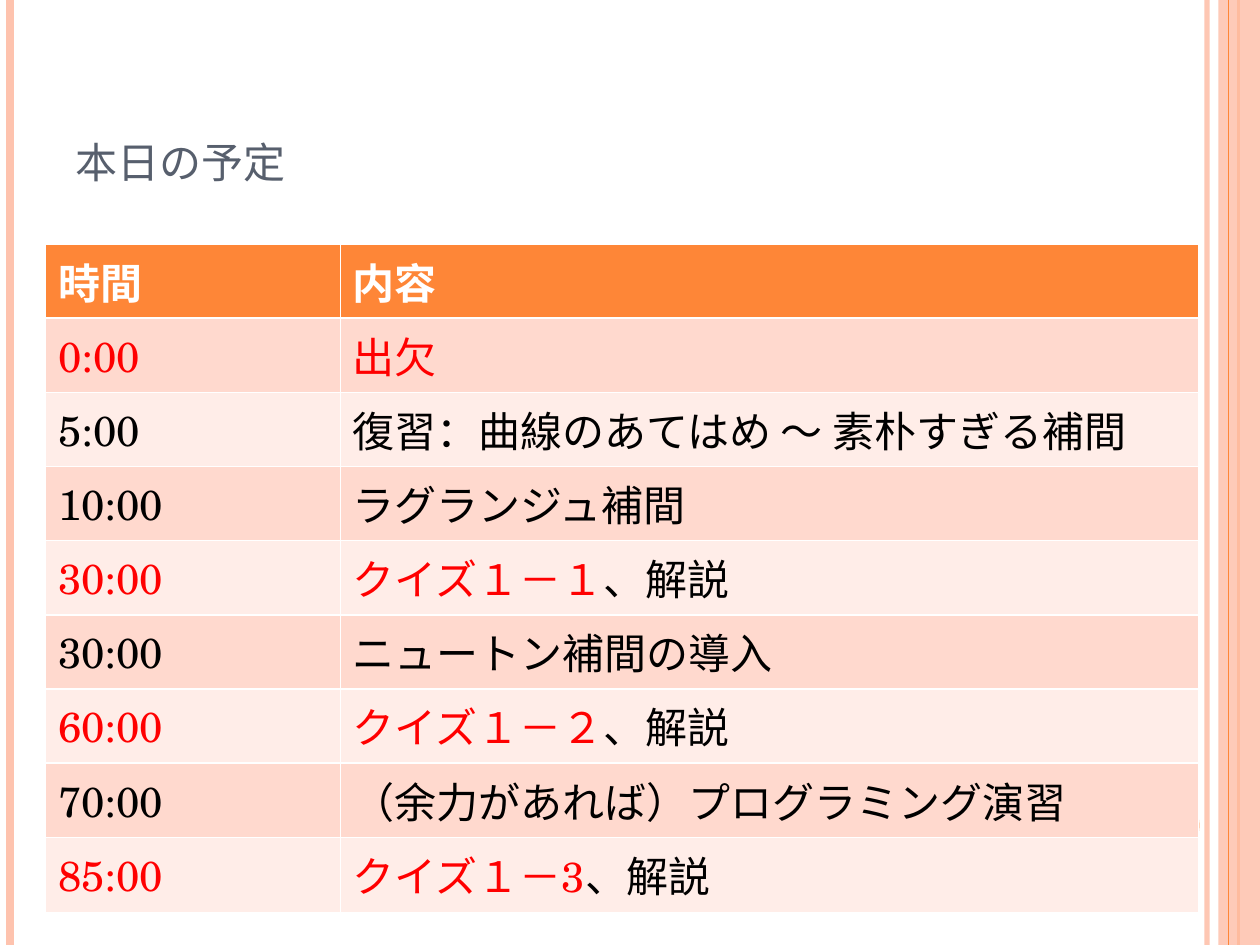
"""Build the lesson timetable slide with its striped side borders."""
from dataclasses import dataclass

from lxml import etree
from pptx import Presentation
from pptx.dml.color import RGBColor
from pptx.enum.shapes import MSO_CONNECTOR, MSO_SHAPE
from pptx.enum.text import MSO_ANCHOR, PP_ALIGN
from pptx.oxml.ns import qn
from pptx.util import Cm, Pt

STRAIGHT = MSO_CONNECTOR.STRAIGHT
RECTANGLE, OVAL = MSO_SHAPE.RECTANGLE, MSO_SHAPE.OVAL
BOTTOM, LEFT = MSO_ANCHOR.BOTTOM, PP_ALIGN.LEFT
TITLE_ONLY = 5


@dataclass(frozen=True)
class Theme:
    """Colours, font and type sizes of the slide."""
    orange: str = "FE8637"
    peach: str = "FEC3AE"
    bands: tuple[str, str] = ("FFD9CE", "FFEDE8")
    title: str = "575F6D"
    white: str = "FFFFFF"
    black: str = "000000"
    red: str = "FF0000"
    font: str = "TeX Gyre Schola"
    title_size: float = 30
    table_size: float = 24


@dataclass(frozen=True)
class Stripe:
    """A full-height vertical line."""
    x: float
    color: str
    width: float
    alpha: int = 100


@dataclass(frozen=True)
class Block:
    """A filled shape without outline, placed in centimetres."""
    kind: int
    box: tuple[float, float, float, float]
    color: str
    alpha: int = 100


@dataclass(frozen=True)
class Entry:
    """A timetable row; the quiz part and its time are highlighted."""
    time: str
    topic: str = ""
    quiz: str = ""


THEME = Theme()
SLIDE_W, SLIDE_H = 25.4, 19.05
DECOR = (
    Stripe(24.33, THEME.peach, 3, 93),
    Stripe(0.2, THEME.peach, 4.5),
    Stripe(24.97, THEME.orange, 1.5),
    Block(RECTANGLE, (24.56, 0, 0.84, SLIDE_H), THEME.peach, 87),
    Stripe(24.77, THEME.orange, 0.75),
    Block(OVAL, (22.66, 15.88, 1.52, 1.52), THEME.orange),
)
TITLE_BOX = (1.27, 0.76, 20.75, 3.18)
TABLE_LEFT, TABLE_TOP = 0.92, 4.93
COLUMNS = (5.94, 17.3)
ROW_H = 1.27
HEADER = ("時間", "内容")
ENTRIES = (
    Entry("0:00", quiz="出欠"),
    Entry("5:00", "復習：曲線のあてはめ ～ 素朴すぎる補間"),
    Entry("10:00", "ラグランジュ補間"),
    Entry("30:00", "、解説", "クイズ１－１"),
    Entry("30:00", "ニュートン補間の導入"),
    Entry("60:00", "、解説", "クイズ１－２"),
    Entry("70:00", "（余力があれば）プログラミング演習"),
    Entry("85:00", "、解説", "クイズ１－3"),
)


def set_alpha(sp, alpha: int) -> None:
    """Make the solid colour of a shape or line partly transparent."""
    if alpha < 100:
        clr = next(sp._element.spPr.iter(qn("a:srgbClr")))
        etree.SubElement(clr, qn("a:alpha"), val=str(alpha * 1000))


def add_stripe(s, stripe: Stripe) -> None:
    """Draw a vertical line over the whole slide height."""
    x = Cm(stripe.x)
    line = s.shapes.add_connector(STRAIGHT, x, 0, x, Cm(SLIDE_H))
    line.line.width = Pt(stripe.width)
    line.line.color.rgb = RGBColor.from_string(stripe.color)
    set_alpha(line, stripe.alpha)
    etree.SubElement(line._element.spPr, qn("a:effectLst"))


def add_block(s, block: Block) -> None:
    """Draw a filled shape."""
    sp = s.shapes.add_shape(block.kind, *map(Cm, block.box))
    sp.shadow.inherit = False
    sp.fill.solid()
    sp.fill.fore_color.rgb = RGBColor.from_string(block.color)
    sp.line.fill.background()
    set_alpha(sp, block.alpha)


def add_run(p, text: str, color: str, size: float, bold: bool = False):
    """Append a formatted run to a paragraph."""
    r = p.add_run()
    r.text = text
    for name, value in {"name": THEME.font, "size": Pt(size), "bold": bold}.items():
        setattr(r.font, name, value)
    r.font.color.rgb = RGBColor.from_string(color)
    return r


def add_title(s, text: str) -> None:
    """Place and format the title placeholder."""
    sp = s.shapes.title
    for name, value in zip(("left", "top", "width", "height"), TITLE_BOX):
        setattr(sp, name, Cm(value))
    tf = sp.text_frame
    tf.vertical_anchor = BOTTOM
    p = tf.paragraphs[0]
    p.alignment = LEFT
    r = add_run(p, text, THEME.title, THEME.title_size)
    r.font._element.set("cap", "small")


def fill_cell(cell, fill: str, parts: list[tuple[str, str]], bold: bool = False) -> None:
    """Colour a cell and write its (text, colour) parts."""
    cell.fill.solid()
    cell.fill.fore_color.rgb = RGBColor.from_string(fill)
    for text, color in parts:
        if text:
            add_run(cell.text_frame.paragraphs[0], text, color, THEME.table_size, bold)


def add_timetable(s) -> None:
    """Draw the timetable with a header and banded rows."""
    count = len(ENTRIES) + 1
    table = s.shapes.add_table(
        count, len(COLUMNS), Cm(TABLE_LEFT), Cm(TABLE_TOP),
        Cm(sum(COLUMNS)), Cm(ROW_H * count)).table
    for column, width in zip(table.columns, COLUMNS):
        column.width = Cm(width)
    for i, text in enumerate(HEADER):
        fill_cell(table.cell(0, i), THEME.orange, [(text, THEME.white)], bold=True)
    for i, entry in enumerate(ENTRIES):
        band = THEME.bands[i % 2]
        time_color = THEME.red if entry.quiz else THEME.black
        fill_cell(table.cell(i + 1, 0), band, [(entry.time, time_color)])
        fill_cell(table.cell(i + 1, 1), band,
                  [(entry.quiz, THEME.red), (entry.topic, THEME.black)])


def main() -> None:
    """Build and save the slide."""
    prs = Presentation()
    prs.slide_width, prs.slide_height = Cm(SLIDE_W), Cm(SLIDE_H)
    s = prs.slides.add_slide(prs.slide_layouts[TITLE_ONLY])
    for item in DECOR:
        if isinstance(item, Stripe):
            add_stripe(s, item)
        else:
            add_block(s, item)
    add_title(s, "本日の予定")
    add_timetable(s)
    prs.save("out.pptx")


if __name__ == "__main__":
    main()
